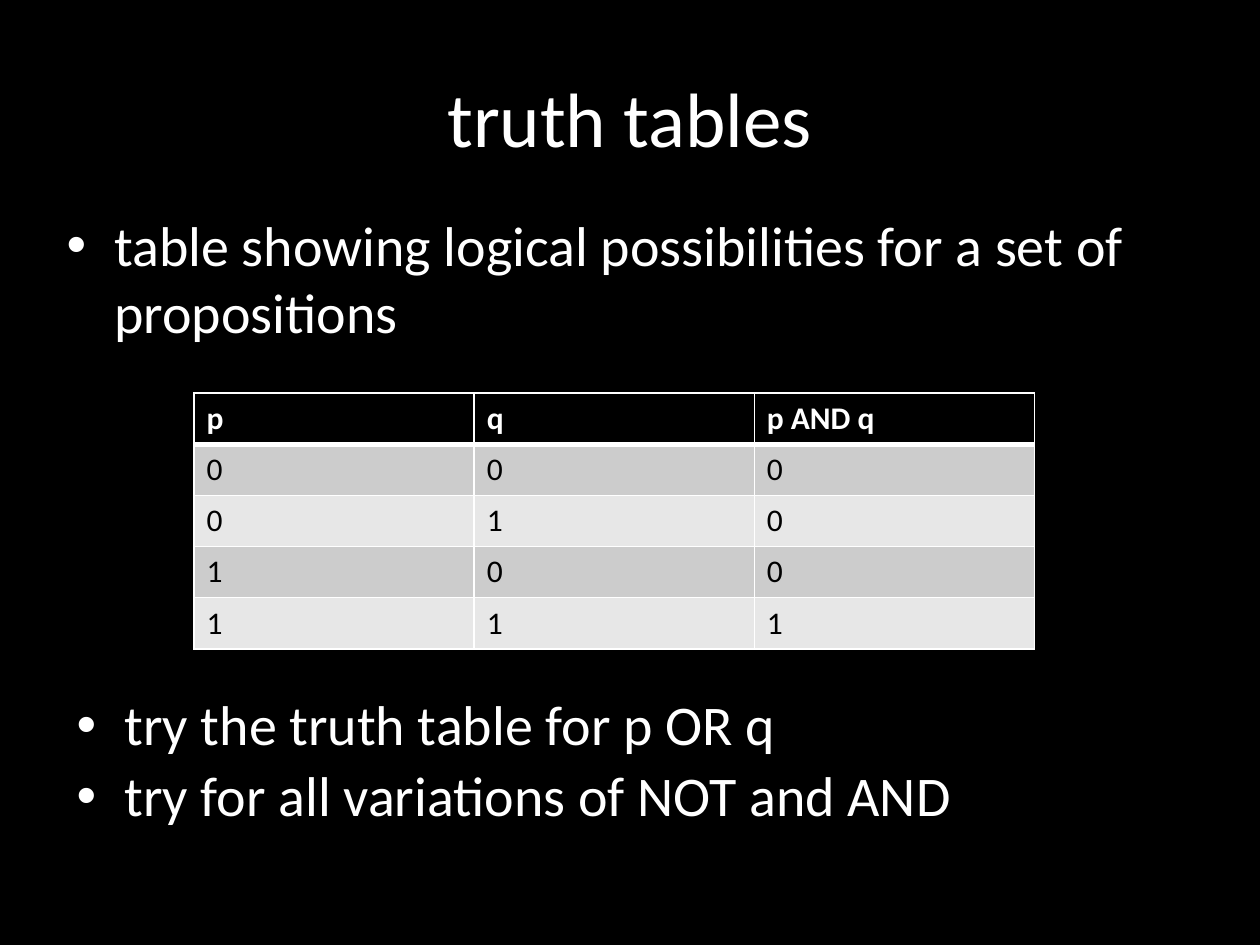
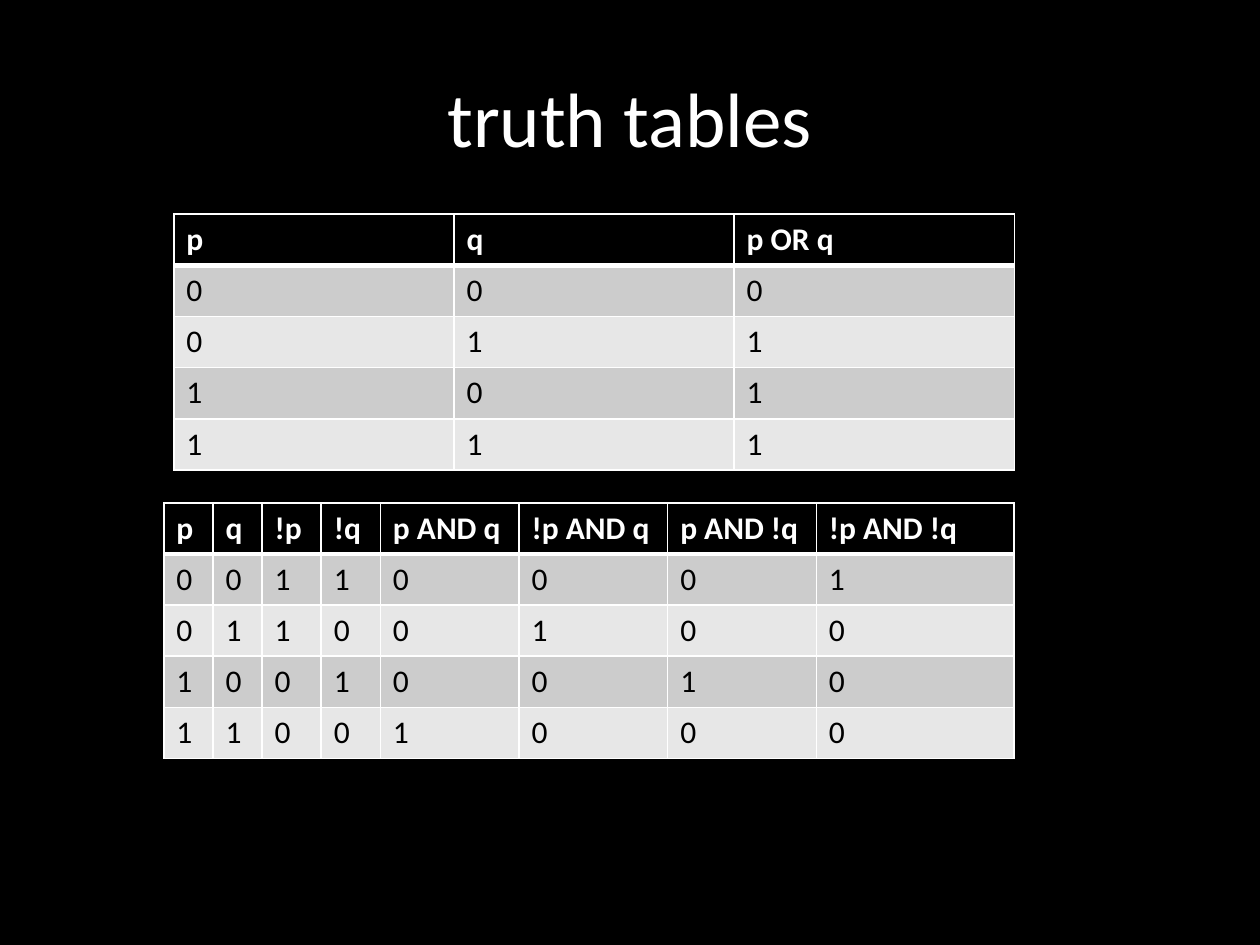
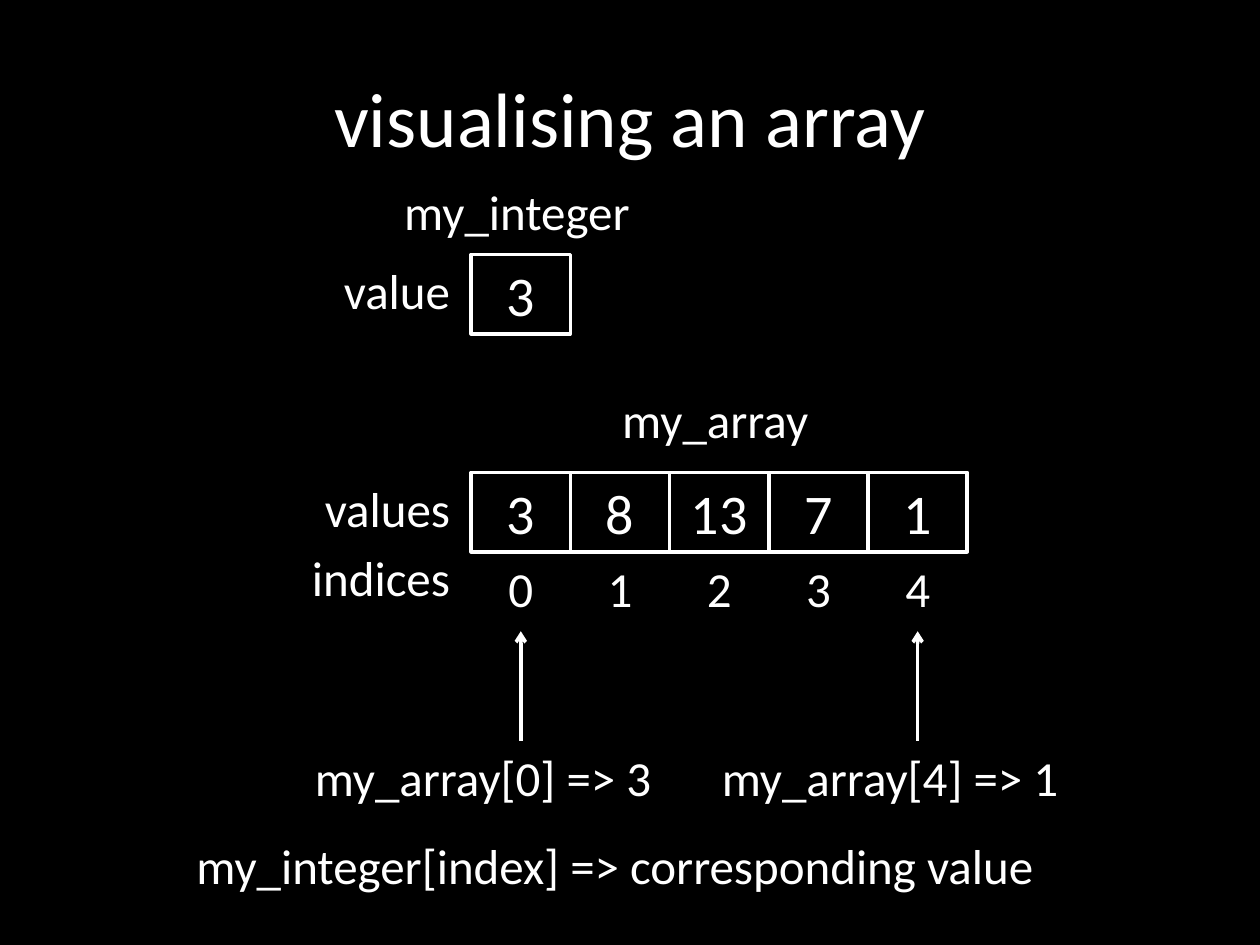
import pptx
import pptx.dml.color
import pptx.enum.shapes
import pptx.enum.text
import pptx.oxml
import pptx.oxml.ns
import pptx.util
from lxml import etree

Inches, Pt = pptx.util.Inches, pptx.util.Pt
ALIGN = pptx.enum.text.PP_ALIGN
MIDDLE = pptx.enum.text.MSO_ANCHOR.MIDDLE
COLORS = {name: pptx.dml.color.RGBColor.from_string(value) for name, value in {
    "back": "000000", "text": "FFFFFF", "odd row": "CCCCCC", "even row": "E7E7E7"}.items()}
FONT = "Calibri"
qn = pptx.oxml.ns.qn


def write(box, lines, size, align=ALIGN.LEFT, color="text", bold=False, bullet=False, spacing=None):
    """Fill a shape, placeholder or cell with one paragraph per line."""
    frame = box.text_frame
    frame.word_wrap = True
    for number, line in enumerate(lines):
        para = frame.add_paragraph() if number else frame.paragraphs[0]
        para.alignment = align
        if bullet:
            props = para._p.get_or_add_pPr()
            props.set("marL", str(Inches(0.38)))
            props.set("indent", str(-Inches(0.38)))
            etree.SubElement(props, qn("a:buFont")).set("typeface", "Arial")
            etree.SubElement(props, qn("a:buChar")).set("char", "•")
        if spacing:
            para.line_spacing = spacing
        if number:
            para.space_before = Pt(size * 0.2)
        span = para.add_run()
        span.text = line
        for key, value in {"name": FONT, "size": Pt(size), "bold": bold}.items():
            setattr(span.font, key, value)
        span.font.color.rgb = COLORS[color]


def add_truth_table(page, left, top, widths, rows):
    """Draw a table with a black header and grey bands; each row is a list of texts."""
    table = page.shapes.add_table(len(rows), len(widths), Inches(left), Inches(top),
                                  Inches(sum(widths)), Inches(2.03)).table
    for column, width in zip(table.columns, widths):
        column.width = Inches(width)
    for r, row in enumerate(rows):
        fill = "back" if r == 0 else "odd row" if r % 2 else "even row"
        for c, text in enumerate(row):
            cell = table.cell(r, c)
            write(cell, [text], 18, color="back" if r else "text", bold=r == 0)
            # The rule below the header is three points wide, all others one
            borders = {"lnL": 1, "lnR": 1, "lnT": 3 if r == 1 else 1, "lnB": 1 if r else 3}
            for side, width in borders.items():
                line = etree.SubElement(cell._tc.get_or_add_tcPr(), qn(f"a:{side}"), w=str(Pt(width)))
                solid = etree.SubElement(line, qn("a:solidFill"))
                etree.SubElement(solid, qn("a:srgbClr"), val=str(COLORS["text"]))
            cell.fill.solid()
            cell.fill.fore_color.rgb = COLORS[fill]


# Deck, background and titled pages
deck = pptx.Presentation()
deck.slide_width, deck.slide_height = Inches(10), Inches(7.5)
background = deck.slide_master.background.fill
background.solid()
background.fore_color.rgb = COLORS["back"]

pages = []
for title in ["truth tables", "truth tables", "visualising an array"]:
    page = deck.slides.add_slide(deck.slide_layouts[5])
    heading = page.shapes.title
    for key, value in {"left": 0.5, "top": 0.3, "width": 9, "height": 1.25}.items():
        setattr(heading, key, Inches(value))
    heading.text_frame.vertical_anchor = MIDDLE
    write(heading, [title], 44, ALIGN.CENTER)
    pages.append(page)
and_page, or_page, array_page = pages
thirds = [6.67 / 3] * 3

# Slide 1: the AND table between bullets
for left, top, spacing, lines in [
    (0.43, 1.62, None, ["table showing logical possibilities for a set of propositions"]),
    (0.51, 5.48, 0.9, ["try the truth table for p OR q", "try for all variations of NOT and AND"]),
]:
    box = and_page.shapes.add_textbox(Inches(left), Inches(top), Inches(9), Inches(1.26))
    write(box, lines, 32, bullet=True, spacing=spacing)
add_truth_table(and_page, 1.54, 3.12, thirds, [["p", "q", "p AND q"], *map(list, ["000", "010", "100", "111"])])

# Slide 2: all variations of AND, then the OR table
add_truth_table(or_page, 1.3, 3.99, [0.39, 0.39, 0.47, 0.47, 1.1, 1.18, 1.18, 1.57], [
    ["p", "q", "!p", "!q", "p AND q", "!p AND q", "p AND !q", "!p AND !q"],
    *map(list, ["00110001", "01100100", "10010010", "11001000"])])
add_truth_table(or_page, 1.38, 1.7, thirds, [["p", "q", "p OR q"], *map(list, ["000", "011", "101", "111"])])

# Slide 3: memory cells, 2 cm by 1.6 cm
cell_width, cell_height = 2 / 2.54, 1.6 / 2.54
first_cell, integer_row, array_row = 3.74, 2.02, 3.75
index_row = array_row + cell_height
call_row = 5.88
array_values = ["3", "8", "13", "7", "1"]

cells = [(0, integer_row, "3")] + [(i, array_row, value) for i, value in enumerate(array_values)]
for column, top, value in cells:
    cell = array_page.shapes.add_shape(
        pptx.enum.shapes.MSO_SHAPE.RECTANGLE, Inches(first_cell + column * cell_width), Inches(top),
        Inches(cell_width), Inches(cell_height))
    cell.shadow.inherit = False
    cell.fill.solid()
    cell.fill.fore_color.rgb = COLORS["back"]
    cell.line.color.rgb = COLORS["text"]
    cell.line.width = Pt(2)
    cell.text_frame.vertical_anchor = MIDDLE
    write(cell, [value], 32, ALIGN.CENTER)

# Indices below the array
index_boxes = []
for column in range(len(array_values)):
    box = array_page.shapes.add_textbox(Inches(first_cell + column * cell_width), Inches(index_row),
                                        Inches(cell_width), Inches(cell_height))
    write(box, [str(column)], 28, ALIGN.CENTER)
    index_boxes.append(box)

# Names, row labels and calls
for left, top, width, align, text in [
    (3.11, 1.39, 2.13, ALIGN.LEFT, "my_integer"),
    (4.84, 3.04, 1.97, ALIGN.LEFT, "my_array"),
    (2.17, integer_row, 1.5, ALIGN.RIGHT, "value"),
    (2.17, array_row, 1.5, ALIGN.RIGHT, "values"),
    (2.17, 4.3, 1.5, ALIGN.RIGHT, "indices"),
    (2.4, call_row, 3.46, ALIGN.LEFT, "my_array[0] => 3"),
    (5.63, call_row, 3.31, ALIGN.LEFT, "my_array[4] => 1"),
    (1.46, 6.58, 6.85, ALIGN.LEFT, "my_integer[index] => corresponding value"),
]:
    box = array_page.shapes.add_textbox(Inches(left), Inches(top), Inches(width), Inches(cell_height))
    write(box, [text], 28, align)

# Arrows from the calls up to the first and last index
for box in (index_boxes[0], index_boxes[-1]):
    middle = box.left + box.width // 2
    arrow = array_page.shapes.add_connector(pptx.enum.shapes.MSO_CONNECTOR.STRAIGHT, middle,
                                            Inches(call_row), middle, box.top + box.height)
    arrow.end_connect(box, 2)
    arrow.line.color.rgb = COLORS["text"]
    arrow.line.width = Pt(2)
    etree.SubElement(arrow.line._get_or_add_ln(), qn("a:tailEnd"), type="arrow")
    etree.SubElement(arrow._element.spPr, qn("a:effectLst"))

deck.save("out.pptx")
